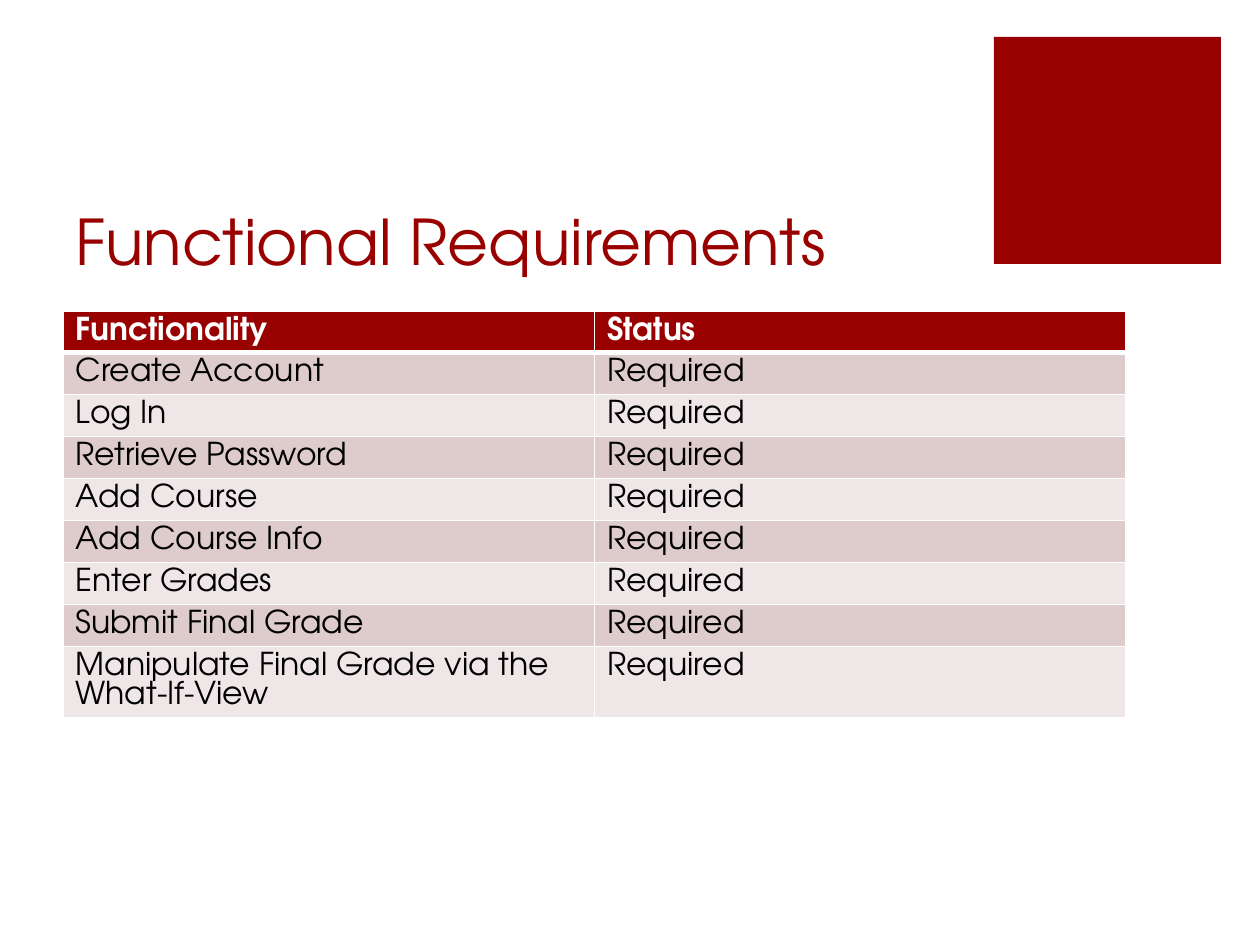
"""Build the functional requirements slide with its status table."""
from dataclasses import dataclass

from lxml import etree
from pptx import Presentation
from pptx import util as u
from pptx.dml.color import RGBColor
from pptx.enum import shapes, text
from pptx.oxml import ns

PIXEL = u.Inches(1) // 126


@dataclass(frozen=True)
class Theme:
    font: str = "TeX Gyre Adventor"
    accent: str = "990000"
    paper: str = "FFFFFF"
    ink: str = "000000"
    bands: tuple = ("DECCCC", "EFE7E7")
    title_size: float = 36
    table_size: float = 18
    table_leading: float = 16.5
    rule: float = 1
    header_rule: float = 3


THEME = Theme()
HEADER = ("Functionality", "Status")
FUNCTIONS = (
    "Create Account",
    "Log In",
    "Retrieve Password",
    "Add Course",
    "Add Course Info",
    "Enter Grades",
    "Submit Final Grade",
    "Manipulate Final Grade via the What-If-View",
)


def px(*lengths):
    return [round(length * PIXEL) for length in lengths]


def style_text(frame, size, color, bold=False):
    for paragraph in frame.paragraphs:
        for run in paragraph.runs:
            run.font.name = THEME.font
            run.font.size = u.Pt(size)
            run.font.bold = bold
            run.font.color.rgb = RGBColor.from_string(color)


def add_accent_square(slide, left, top, side):
    square = slide.shapes.add_shape(
        shapes.MSO_SHAPE.RECTANGLE, *px(left, top, side, side))
    square.shadow.inherit = False
    square.fill.solid()
    square.fill.fore_color.rgb = RGBColor.from_string(THEME.accent)
    square.line.fill.background()


def add_title(slide, wording, *box):
    frame = slide.shapes.add_textbox(*px(*box)).text_frame
    frame.word_wrap = True
    frame.vertical_anchor = text.MSO_ANCHOR.BOTTOM
    frame.text = wording
    style_text(frame, THEME.title_size, THEME.accent)


def set_borders(cell, **widths):
    properties = cell._tc.get_or_add_tcPr()
    for side in "LRTB":
        border = etree.SubElement(
            properties, ns.qn(f"a:ln{side}"),
            w=str(u.Pt(widths.get(side, THEME.rule))))
        fill = etree.SubElement(border, ns.qn("a:solidFill"))
        etree.SubElement(fill, ns.qn("a:srgbClr"), val=THEME.paper)


def fill_cell(cell, wording, row):
    is_header = row == 0
    borders = {0: {"B": THEME.header_rule}, 1: {"T": THEME.header_rule}}
    set_borders(cell, **borders.get(row, {}))
    background = THEME.accent if is_header else THEME.bands[(row - 1) % 2]
    cell.fill.solid()
    cell.fill.fore_color.rgb = RGBColor.from_string(background)
    cell.text_frame.text = wording
    cell.text_frame.paragraphs[0].line_spacing = u.Pt(THEME.table_leading)
    style_text(cell.text_frame, THEME.table_size,
               THEME.paper if is_header else THEME.ink, is_header)


def add_requirements(slide, left, top, width):
    records = [HEADER] + [(function, "Required") for function in FUNCTIONS]
    heights = [41] + [42] * (len(FUNCTIONS) - 1) + [71]
    table = slide.shapes.add_table(
        len(records), len(HEADER), *px(left, top, width, sum(heights))).table
    for row, (record, height) in enumerate(zip(records, heights)):
        table.rows[row].height = px(height)[0]
        for column, wording in enumerate(record):
            fill_cell(table.cell(row, column), wording, row)


def main():
    deck = Presentation()
    deck.slide_width, deck.slide_height = px(1260, 945)
    slide = deck.slides.add_slide(deck.slide_layouts[6])
    add_accent_square(slide, 994, 37, 227)
    add_title(slide, "Functional Requirements", 63, 126, 897, 158)
    add_requirements(slide, 63, 311, 1063)
    deck.save("out.pptx")


main()
